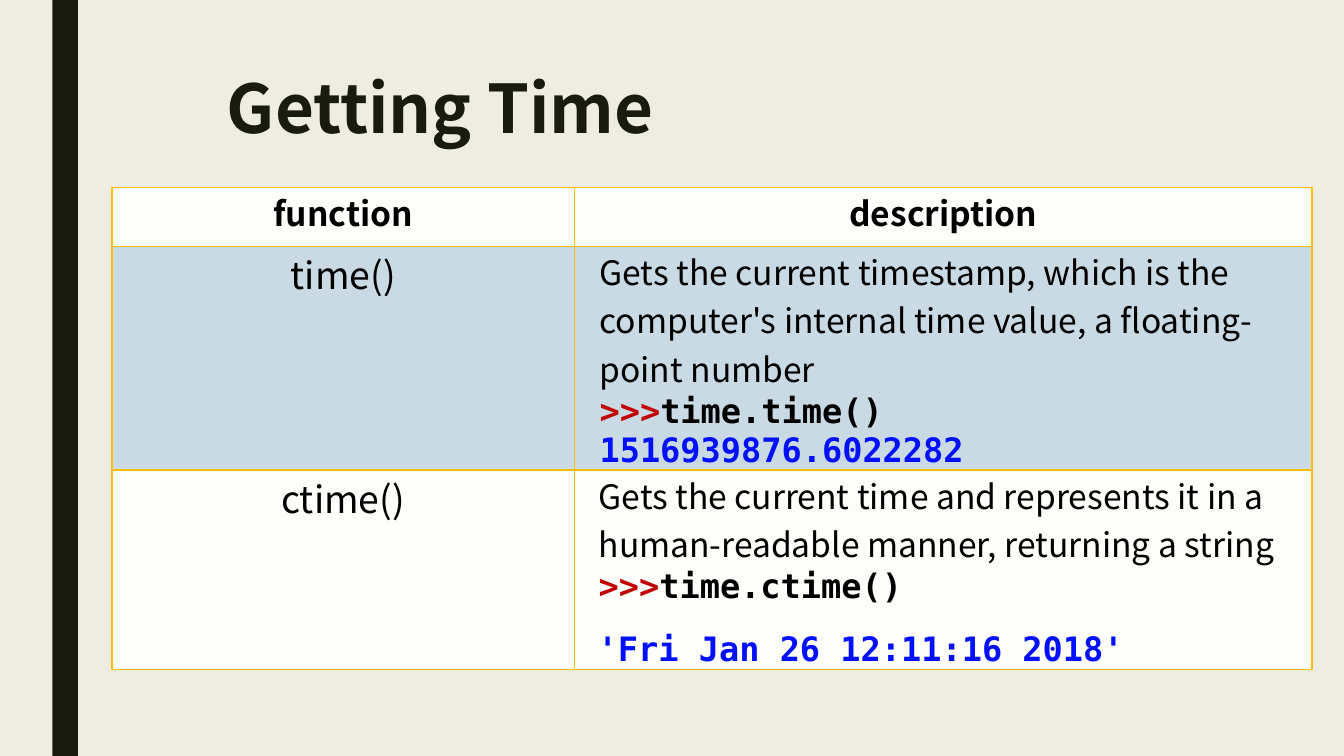
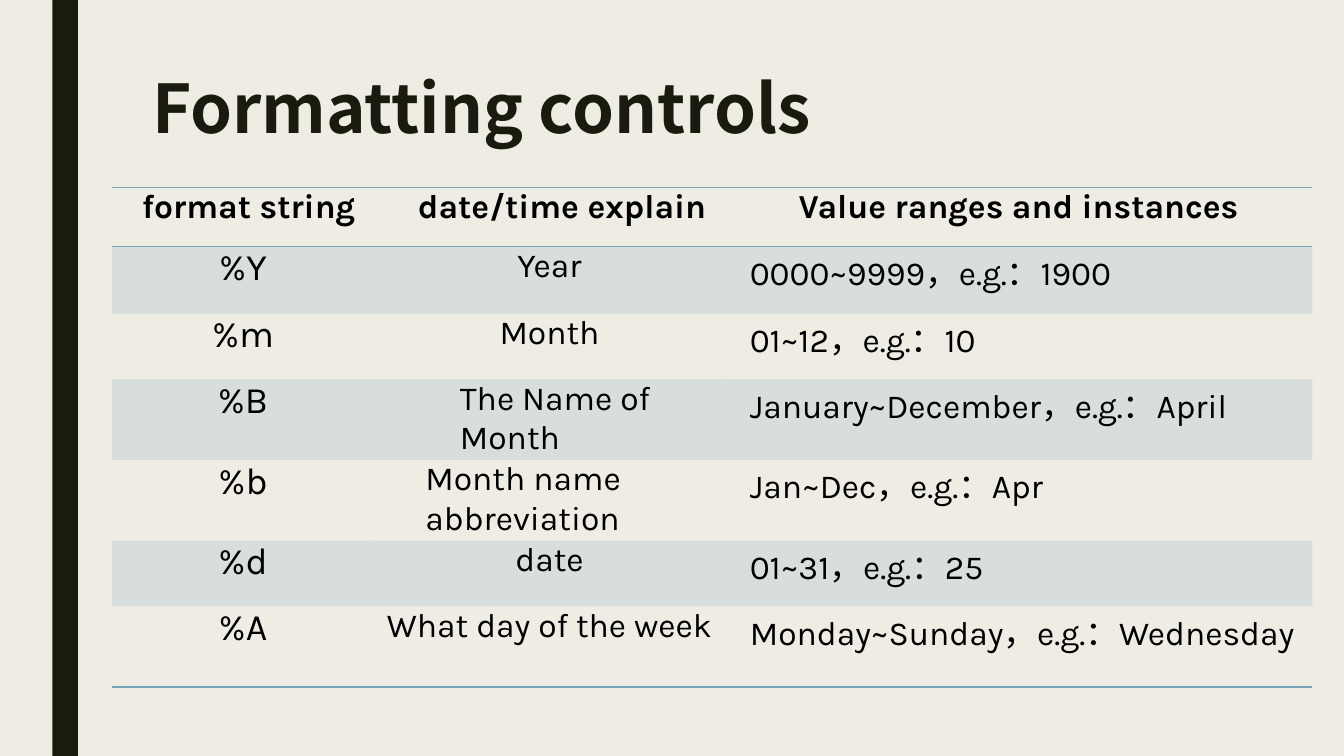
"""Build two slides on time functions and date format strings."""
import dataclasses
import typing

import lxml.etree
import pptx
import pptx.dml.color
import pptx.enum.shapes
import pptx.enum.text
import pptx.oxml.ns
import pptx.util

Pt = pptx.util.Pt
qn = pptx.oxml.ns.qn

HUES = {
    "page": "EFEDE3", "dark": "191B0E", "ink": "000000", "gold": "FFC000",
    "cream": "FDFDF9", "sky": "C9DAE4", "steel": "77A2BB",
    "prompt": "C00000", "blue": "0010FF",
}
SANS, MONO, KARLA = "Noto Sans CJK SC", "DejaVu Sans Mono", "Karla"
PLAIN = "{2D5ABB26-0587-4C30-8999-92F81FD0307C}"
SIDES = {"l": "a:lnL", "r": "a:lnR", "t": "a:lnT", "b": "a:lnB"}


@dataclasses.dataclass
class Line:
    text: str
    size: float = 18
    font: str = SANS
    hue: str = "ink"
    bold: bool = False
    dent: typing.Optional[float] = None
    gap: float = 0
    prompt: str = ""


@dataclasses.dataclass
class Cell:
    lines: list[Line]
    fill: str = ""
    alpha: int = 100
    edges: str = ""
    edge: str = "steel"


@dataclasses.dataclass
class Grid:
    cols: list[float]
    rows: list[float]
    cells: list[list[Cell]]


def color(name: str) -> pptx.dml.color.RGBColor:
    return pptx.dml.color.RGBColor.from_string(HUES[name])


def style(run, line: Line, hue: str) -> None:
    run.font.size = Pt(line.size)
    run.font.name = line.font
    run.font.bold = line.bold
    run.font.color.rgb = color(hue)


def write(frame, lines: list[Line]) -> None:
    for i, line in enumerate(lines):
        para = frame.add_paragraph() if i else frame.paragraphs[0]
        if line.dent is None:
            para.alignment = pptx.enum.text.PP_ALIGN.CENTER
        else:
            props = para._p.get_or_add_pPr()
            props.set("marL", str(Pt(line.dent)))
            props.set("indent", "0")
        if line.gap:
            para.space_before = Pt(line.gap)
        para.text = line.prompt or line.text
        style(para.runs[0], line, "prompt" if line.prompt else line.hue)
        if line.prompt:
            run = para.add_run()
            run.text = line.text
            style(run, line, line.hue)


def rule(cell, cfg: Cell) -> None:
    props = cell._tc.get_or_add_tcPr()
    for side, tag in SIDES.items():
        if side in cfg.edges:
            edge = lxml.etree.SubElement(props, qn(tag), w=str(Pt(1)))
            fill = lxml.etree.SubElement(edge, qn("a:solidFill"))
            lxml.etree.SubElement(fill, qn("a:srgbClr"), val=HUES[cfg.edge])


def paint(cell, cfg: Cell) -> None:
    if not cfg.fill:
        cell.fill.background()
        return
    cell.fill.solid()
    cell.fill.fore_color.rgb = color(cfg.fill)
    if cfg.alpha < 100:
        tone = cell._tc.tcPr.find(qn("a:solidFill")).find(qn("a:srgbClr"))
        lxml.etree.SubElement(tone, qn("a:alpha"), val=str(cfg.alpha * 1000))


def draw_grid(slide, grid: Grid) -> None:
    frame = slide.shapes.add_table(
        len(grid.rows), len(grid.cols), Pt(60), Pt(100.5),
        Pt(sum(grid.cols)), Pt(sum(grid.rows)))
    table = frame.table
    table.first_row = table.horz_banding = False
    table._tbl.tblPr.find(qn("a:tableStyleId")).text = PLAIN
    for col, width in zip(table.columns, grid.cols):
        col.width = Pt(width)
    for row, height, cfgs in zip(table.rows, grid.rows, grid.cells):
        row.height = Pt(height)
        for cell, cfg in zip(row.cells, cfgs):
            cell.margin_left = cell.margin_right = 0
            cell.margin_top = cell.margin_bottom = 0
            write(cell.text_frame, cfg.lines)
            rule(cell, cfg)
            paint(cell, cfg)


def add_page(deck, title: str, dent: float, grid: Grid) -> None:
    slide = deck.slides.add_slide(deck.slide_layouts[6])
    bar = slide.shapes.add_shape(
        pptx.enum.shapes.MSO_SHAPE.RECTANGLE,
        Pt(28.1), 0, Pt(13.7), deck.slide_height)
    bar.shadow.inherit = False
    bar.fill.solid()
    bar.fill.fore_color.rgb = color("dark")
    bar.line.fill.background()
    draw_grid(slide, grid)
    box = slide.shapes.add_textbox(Pt(80.6), Pt(40.3), Pt(567.4), Pt(44))
    frame = box.text_frame
    frame.word_wrap = True
    frame.auto_size = pptx.enum.text.MSO_AUTO_SIZE.SHAPE_TO_FIT_TEXT
    frame.margin_left = frame.margin_right = 0
    frame.margin_top = frame.margin_bottom = 0
    write(frame, [Line(title, 36, hue="dark", bold=True, dent=dent)])
    frame.paragraphs[0].line_spacing = 0.9


def time_grid() -> Grid:
    def code(text: str, **more) -> Line:
        return Line(text, font=MONO, bold=True, **more)

    rows = [
        ("cream", [Line("function", bold=True)],
         [Line("description", bold=True)]),
        ("sky", [Line("time()", 20)], [
            Line("Gets the current timestamp, which is the computer's "
                 "internal time value, a floating-point number", dent=13.5),
            code("time.time()", dent=13.5, prompt=">>>"),
            code("1516939876.6022282", hue="blue", dent=13.5)]),
        ("cream", [Line("ctime()", 20)], [
            Line("Gets the current time and represents it in a "
                 "human-readable manner, returning a string", dent=13),
            code("time.ctime()", dent=13, prompt=">>>"),
            code("'Fri Jan 26 12:11:16 2018'", hue="blue", dent=12.5,
                 gap=12.9)]),
    ]
    cells = [[Cell(lines, fill, edges="lrtb", edge="gold") for lines in pair]
             for fill, *pair in rows]
    return Grid([247.7, 395.3], [31.5, 105, 104.5], cells)


def format_grid() -> Grid:
    heads = [("format string", 16), ("date/time explain", 23.5),
             ("Value ranges and instances", None)]
    rows = [
        ("%Y", "Year", None, "0000~9999，e.g.：1900"),
        ("%m", "Month", None, "01~12，e.g.：10"),
        ("%B", "The Name of Month", 46, "January~December，e.g.：April"),
        ("%b", "Month name abbreviation", 27.5, "Jan~Dec，e.g.：Apr"),
        ("%d", "date", None, "01~31，e.g.：25"),
        ("%A", "What day of the week", None, "Monday~Sunday，e.g.：Wednesday"),
    ]
    cells = [[Cell([Line(text, font=KARLA, bold=True, dent=dent)], edges="tb")
              for text, dent in heads]]
    for i, (mark, sense, dent, range_) in enumerate(rows):
        lines = [Line(mark, 20, KARLA), Line(sense, font=KARLA, dent=dent),
                 Line(range_, font=KARLA, dent=13.3)]
        fill = "" if i % 2 else "steel"
        edges = "b" if i == len(rows) - 1 else ""
        cells.append([Cell([line], fill, 20, edges) for line in lines])
    return Grid([140.4, 188, 314.6], [31.5, 36] + [35.2] * 5, cells)


def main() -> None:
    deck = pptx.Presentation()
    deck.slide_width, deck.slide_height = Pt(720), Pt(405)
    back = deck.slide_master.background.fill
    back.solid()
    back.fore_color.rgb = color("page")
    add_page(deck, "Getting Time", 41, time_grid())
    add_page(deck, "Formatting controls", 1, format_grid())
    deck.save("out.pptx")


if __name__ == "__main__":
    main()
